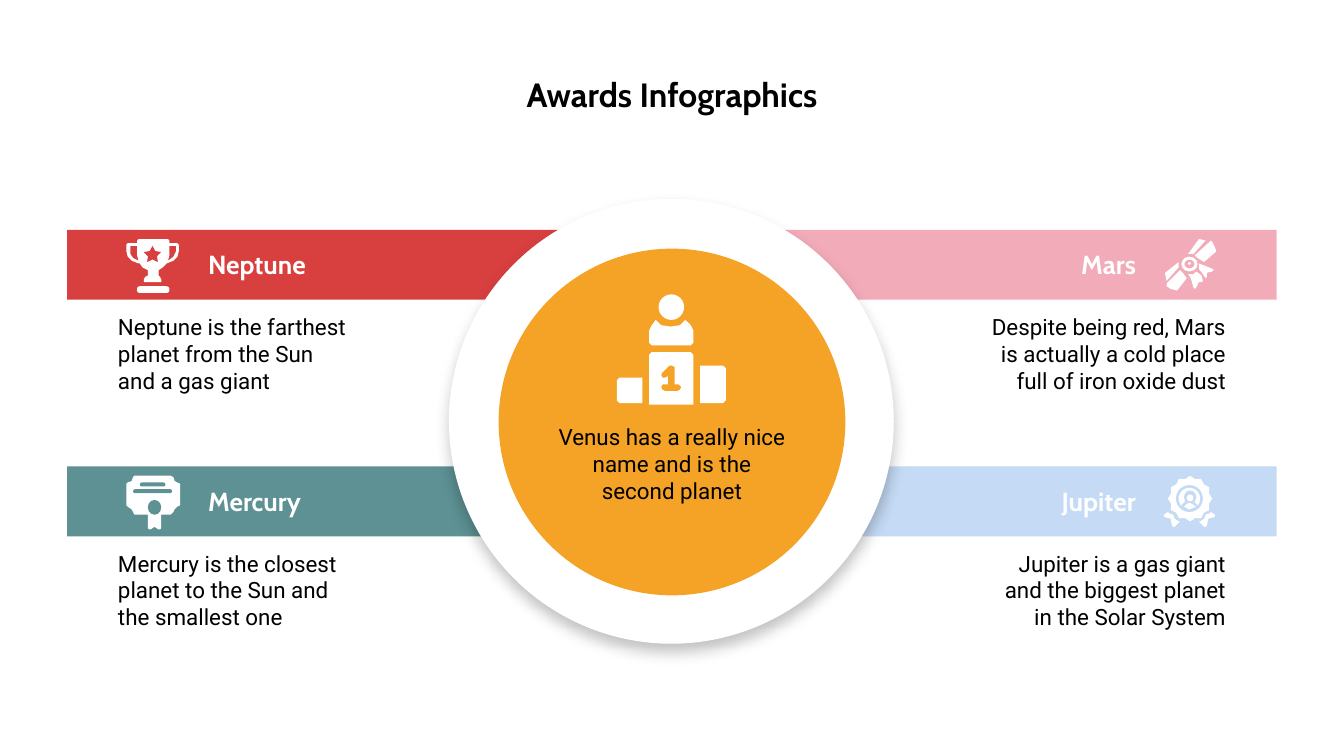
from lxml.etree import SubElement
from pptx import Presentation
from pptx.dml.color import RGBColor
from pptx.enum.shapes import MSO_SHAPE as Kind
from pptx.enum.text import MSO_ANCHOR as Anchor, PP_ALIGN as Align
from pptx.oxml.ns import qn
from pptx.util import Inches, Pt

WHITE = "FFFFFF"
ORANGE = "F5A326"
UNIT = 0.01


def paint(shape, color):
    shape.shadow.inherit = False
    shape.fill.solid()
    shape.fill.fore_color.rgb = RGBColor.from_string(color)
    shape.line.fill.background()
    return shape


def add_preset(slide, kind, left, top, width, height, color, adjust=None):
    shape = slide.shapes.add_shape(kind, *map(Inches, (left, top, width, height)))
    if adjust is not None:
        shape.adjustments[0] = adjust
    return paint(shape, color)


def add_part(slide, origin, kind, box, color=WHITE, adjust=None):
    x, y, width, height = (value * UNIT for value in box)
    return add_preset(slide, kind, origin[0] + x, origin[1] + y, width, height, color, adjust)


def add_outline(slide, origin, *contours, color=WHITE):
    builder = slide.shapes.build_freeform(*contours[0][0], scale=Inches(UNIT))
    builder.add_line_segments(contours[0][1:], close=True)
    for contour in contours[1:]:
        builder.move_to(*contour[0])
        builder.add_line_segments(contour[1:], close=True)
    return paint(builder.convert_to_shape(*map(Inches, origin)), color)


def add_text(slide, text, left, top, width, height, size=12, font="Roboto",
             color="000000", bold=False, align=Align.LEFT, anchor=Anchor.MIDDLE):
    box = slide.shapes.add_textbox(*map(Inches, (left, top, width, height)))
    frame = box.text_frame
    frame.word_wrap = True
    frame.vertical_anchor = anchor
    frame.margin_left = frame.margin_right = Inches(0.1)
    frame.margin_top = frame.margin_bottom = Inches(0.1)
    paragraph = frame.paragraphs[0]
    paragraph.alignment = align
    run = paragraph.add_run()
    run.text = text
    run.font.size = Pt(size)
    run.font.name = font
    run.font.bold = bold
    run.font.color.rgb = RGBColor.from_string(color)


def add_shadow(shape, color, alpha, blur, distance, angle):
    effects = shape._element.spPr.find(qn("a:effectLst"))
    shadow = SubElement(effects, qn("a:outerShdw"), blurRad=str(Pt(blur)),
                        dist=str(Pt(distance)), dir=str(angle * 60000),
                        algn="bl", rotWithShape="0")
    tint = SubElement(shadow, qn("a:srgbClr"), val=color)
    SubElement(tint, qn("a:alpha"), val=str(alpha * 1000))


def draw_trophy(slide, origin, accent):
    cup = [(9, 0), (8, 1), (8, 3), (1, 3), (0, 4), (0, 9), (1, 13), (4, 16), (9, 18),
           (10, 18), (12, 21), (16, 23), (16, 27), (14, 28), (13, 30), (13, 32),
           (26, 32), (26, 30), (25, 28), (24, 27), (24, 23), (27, 21), (30, 18),
           (35, 16), (38, 13), (39, 9), (39, 4), (38, 3), (32, 3), (32, 1), (31, 0)]
    left_handle = [(8, 5), (8, 12), (9, 16), (5, 14), (3, 11), (3, 5)]
    right_handle = [(37, 5), (37, 9), (35, 13), (31, 16), (32, 12), (32, 5)]
    add_outline(slide, origin, cup, left_handle, right_handle)
    add_part(slide, origin, Kind.STAR_5_POINT, (13, 5, 13, 12), accent, 0.26)
    add_part(slide, origin, Kind.ROUNDED_RECTANGLE, (8, 35, 24, 5), adjust=0.4)


def draw_certificate(slide, origin, accent):
    sheet = [(6, 0), (5, 1), (4, 4), (1, 5), (0, 6), (0, 22), (1, 23), (4, 25), (5, 27),
             (6, 29), (16, 29), (16, 39), (17, 40), (18, 40), (21, 38), (24, 40),
             (25, 40), (26, 39), (26, 29), (33, 29), (35, 27), (36, 25), (38, 23),
             (40, 22), (40, 6), (38, 5), (36, 4), (35, 1), (33, 0)]
    add_outline(slide, origin, sheet)
    for line in ((10, 5, 19, 3), (5, 10, 29, 3)):
        add_part(slide, origin, Kind.ROUNDED_RECTANGLE, line, accent, 0.5)
    add_part(slide, origin, Kind.OVAL, (16, 18, 10, 11), accent)


def draw_scroll(slide, origin, accent):
    strips = (
        [(35, 1), (34, 2), (23, 12), (25, 14), (30, 17), (38, 10), (39, 9), (38, 6), (36, 2)],
        [(24, 24), (22, 26), (18, 26), (20, 29), (22, 36), (23, 37), (24, 36), (26, 32),
         (28, 32), (29, 31), (28, 27)],
        [(26, 18), (26, 22), (29, 26), (31, 29), (32, 28), (32, 25), (36, 24), (37, 23),
         (36, 22)],
        [(12, 23), (2, 33), (2, 35), (5, 37), (9, 38), (10, 38), (17, 29), (14, 25)],
        [(27, 0), (26, 0), (18, 11), (22, 11), (31, 1)],
        [(11, 17), (1, 25), (1, 26), (2, 31), (11, 21)],
    )
    for strip in strips:
        add_outline(slide, origin, strip)
    add_part(slide, origin, Kind.DONUT, (13, 13, 12, 11), adjust=0.2)
    add_part(slide, origin, Kind.OVAL, (18, 17, 2, 2))


def draw_rosette(slide, origin, accent):
    ribbon = [(35, 27), (34, 28), (31, 29), (30, 32), (27, 34), (26, 34), (30, 38),
              (31, 38), (32, 37), (33, 32), (37, 31), (38, 30), (38, 29)]
    add_outline(slide, origin, ribbon)
    add_outline(slide, origin, [(38 - x, y) for x, y in ribbon])
    add_part(slide, origin, Kind.STAR_12_POINT, (3, 0, 33, 34), adjust=0.44)
    add_part(slide, origin, Kind.OVAL, (9, 7, 20, 20), accent)
    add_part(slide, origin, Kind.OVAL, (11, 9, 16, 16))
    add_part(slide, origin, Kind.OVAL, (15, 11, 9, 10), accent)
    add_outline(slide, origin, [(13, 22), (16, 19), (22, 19), (25, 22), (24, 25), (14, 25)],
                color=accent)
    add_part(slide, origin, Kind.OVAL, (17, 14, 5, 5))
    add_outline(slide, origin, [(15, 23), (17, 21), (19, 20), (21, 21), (24, 23), (19, 25)])


def draw_podium(slide, origin):
    body = [(29, 19), (26, 23), (24, 27), (24, 36), (26, 38), (55, 38), (57, 36),
            (57, 27), (55, 23), (51, 19), (47, 23), (40, 24), (33, 23)]
    block = [(26, 43), (24, 45), (24, 82), (57, 82), (57, 45), (55, 43)]
    one = [(41, 53), (43, 54), (43, 67), (46, 67), (48, 69), (47, 71), (45, 72), (36, 72),
           (34, 71), (33, 69), (34, 67), (38, 67), (38, 61), (36, 62), (34, 62), (33, 60),
           (34, 58), (39, 53)]
    left_step = [(2, 62), (0, 64), (0, 79), (2, 81), (19, 81), (19, 62)]
    right_step = [(62, 53), (62, 81), (79, 81), (81, 79), (81, 55), (79, 53)]
    add_part(slide, origin, Kind.OVAL, (31, 0, 19, 19))
    for contours in ([body], [block, one], [left_step], [right_step]):
        add_outline(slide, origin, *contours)


def draw_award(slide, left, top, name, description, color, draw_icon, mirrored):
    width = 4.5
    align = Align.RIGHT if mirrored else Align.LEFT

    def inset(distance, part_width):
        return left + (width - distance - part_width if mirrored else distance)

    add_preset(slide, Kind.ROUNDED_RECTANGLE, left, top, width, 0.52, color, 0)
    add_text(slide, description, inset(0.28, 1.96), top + 0.52, 1.96, 0.8, align=align)
    draw_icon(slide, (inset(0.44, 0.4), top + 0.07), color)
    add_text(slide, name, inset(0.95, 1.9), top + 0.1, 1.9, 0.31, size=14, font="Cabin",
             color=WHITE, bold=True, align=align)


def draw_center(slide, left, top, size):
    rim, disc = 0.37, 2.58
    ring = add_preset(slide, Kind.OVAL, left, top, size, size, WHITE)
    add_shadow(ring, "000000", alpha=24, blur=7.9, distance=4.5, angle=90)
    add_preset(slide, Kind.OVAL, left + rim, top + rim, disc, disc, ORANGE)
    draw_podium(slide, (left + 1.25, top + 0.71))
    add_text(slide, "Venus has a really nice name and is the second planet",
             left + 0.69, top + 1.57, 1.94, 0.8, align=Align.CENTER)


def main():
    presentation = Presentation()
    presentation.slide_width = Inches(10)
    presentation.slide_height = Inches(10) * 9 // 16
    slide = presentation.slides.add_slide(presentation.slide_layouts[6])
    add_text(slide, "Awards Infographics", 0.5, 0.45, 9, 0.53, size=18, font="Cabin",
             bold=True, align=Align.CENTER, anchor=Anchor.TOP)
    awards = (
        ("Neptune", "Neptune is the farthest planet from the Sun and a gas giant",
         "D83F3F", draw_trophy),
        ("Mercury", "Mercury is the closest planet to the Sun and the smallest one",
         "5D9194", draw_certificate),
        ("Mars", "Despite being red, Mars is actually a cold place full of iron oxide dust",
         "F2ABB9", draw_scroll),
        ("Jupiter", "Jupiter is a gas giant and the biggest planet in the Solar System",
         "C4DAF5", draw_rosette),
    )
    for index, award in enumerate(awards):
        column, row = divmod(index, 2)
        draw_award(slide, 0.5 + column * 4.5, 1.71 + row * 1.76, *award, mirrored=column == 1)
    draw_center(slide, 3.34, 1.48, 3.31)
    presentation.save("out.pptx")


if __name__ == "__main__":
    main()
